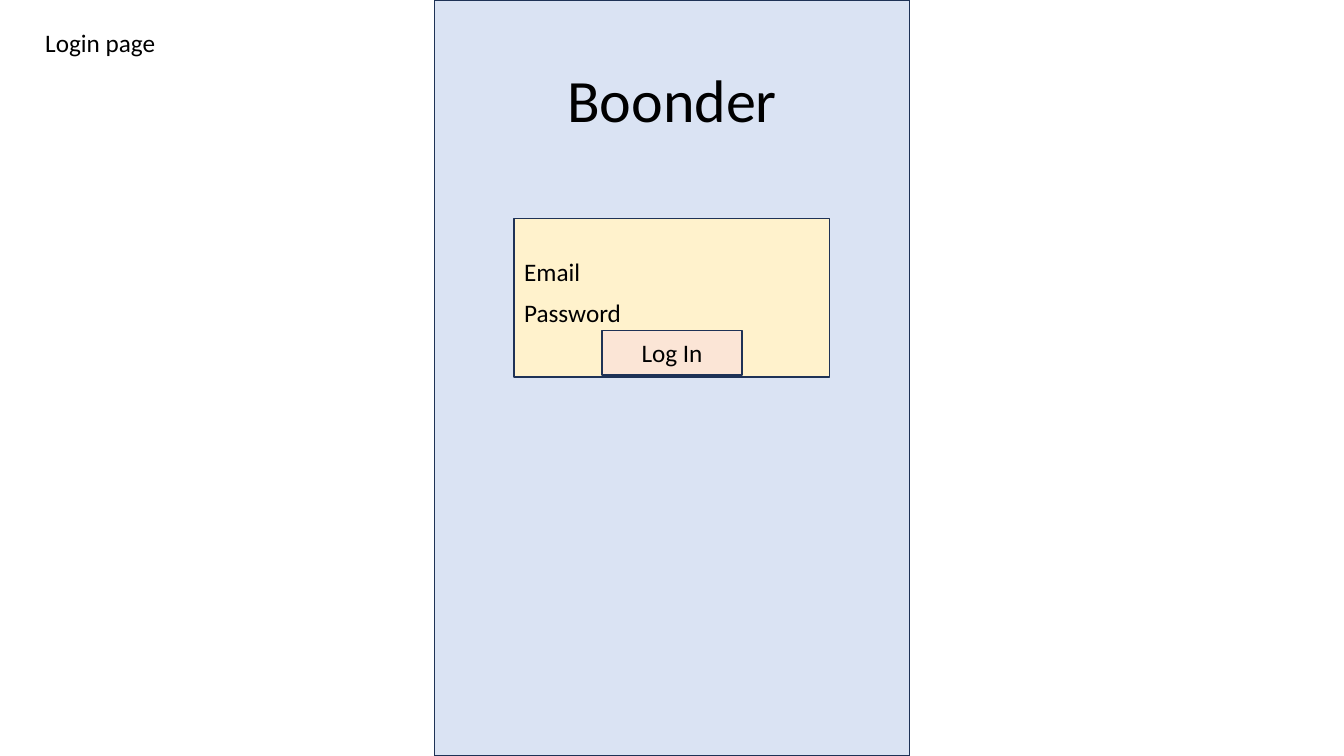
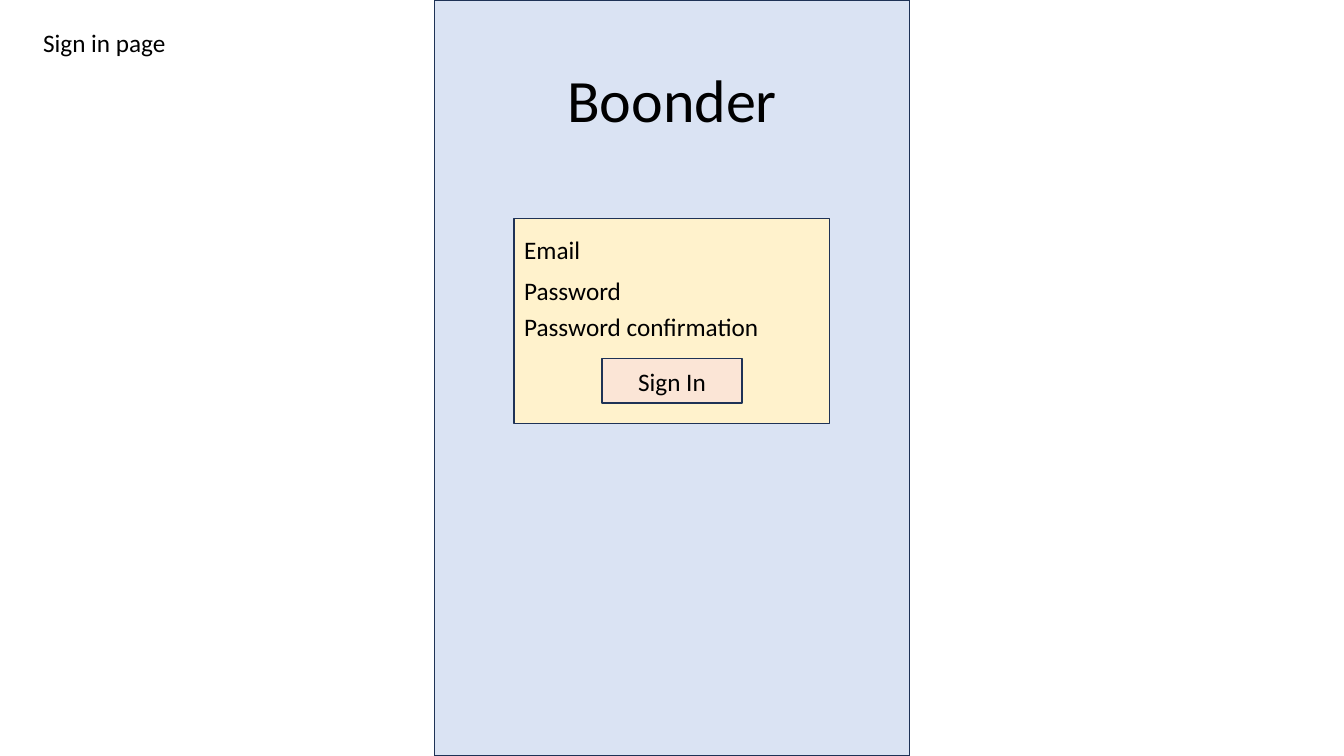
from pptx import Presentation
from pptx.dml.color import RGBColor
from pptx.enum.shapes import MSO_SHAPE
from pptx.enum.text import MSO_ANCHOR, MSO_AUTO_SIZE, PP_ALIGN
from pptx.util import Inches, Pt

BLUE = RGBColor(0xDA, 0xE3, 0xF3)
CREAM = RGBColor(0xFF, 0xF2, 0xCC)
PEACH = RGBColor(0xFB, 0xE5, 0xD6)
NAVY = RGBColor(0x1E, 0x32, 0x56)
BLACK = RGBColor(0, 0, 0)
FONT = "Calibri"
BRAND = "Boonder"

PAGES = [
    {"name": "Login page", "spot": (0.35, 1.31), "form": 1.57,
     "fields": [("Email", 2.49), ("Password", 2.9)],
     "button": ("Log In", 3.28)},
    {"name": "Sign in page", "spot": (0.33, 1.43), "form": 2.03,
     "fields": [("Email", 2.28), ("Password", 2.68),
                ("Password confirmation", 3.04)],
     "button": ("Sign In", 3.56)},
]

WIDE, HIGH = 13.33, 7.5
PANEL, FORM, BUTTON = 4.71, 3.13, 1.39
TOP, ROW = 2.17, 0.4


def mid(width):
    return (WIDE - width) / 2


def place(left, top, width, height):
    return [Inches(n) for n in (left, top, width, height)]


def write(shape, text, size=18, align=PP_ALIGN.LEFT, anchor=MSO_ANCHOR.TOP,
          wrap=True, space=1.0):
    frame = shape.text_frame
    frame.text = text
    frame.word_wrap = wrap
    frame.auto_size = MSO_AUTO_SIZE.NONE
    frame.vertical_anchor = anchor
    para = frame.paragraphs[0]
    para.alignment = align
    para.line_spacing = space
    font = para.runs[0].font
    font.name, font.size, font.color.rgb = FONT, Pt(size), BLACK


def label(slide, text, box, **style):
    write(slide.shapes.add_textbox(*place(*box)), text, **style)


def block(slide, top, width, height, fill):
    shape = slide.shapes.add_shape(
        MSO_SHAPE.RECTANGLE, *place(mid(width), top, width, height))
    shape.shadow.inherit = False
    shape.fill.solid()
    shape.fill.fore_color.rgb = fill
    shape.line.color.rgb = NAVY
    shape.line.width = Pt(1)
    return shape


def head(slide):
    title = slide.shapes.title
    title.left, title.top, title.width, title.height = place(
        mid(PANEL), 0.62, PANEL, 0.94)
    write(title, BRAND, size=42.9, align=PP_ALIGN.CENTER,
          anchor=MSO_ANCHOR.MIDDLE, space=0.9)
    title.text_frame.margin_bottom = Inches(0.18)
    slide.shapes.element.append(title.element)


def build(deck, page):
    slide = deck.slides.add_slide(deck.slide_layouts[5])
    block(slide, 0, PANEL, HIGH, BLUE)
    head(slide)
    block(slide, TOP, FORM, page["form"], CREAM)
    for text, top in page["fields"]:
        label(slide, text, (mid(FORM), top, FORM, ROW))
    text, top = page["button"]
    write(block(slide, top, BUTTON, 0.44, PEACH), text,
          align=PP_ALIGN.CENTER, anchor=MSO_ANCHOR.MIDDLE)
    left, width = page["spot"]
    label(slide, page["name"], (left, 0.22, width, ROW), wrap=False)


def main():
    deck = Presentation()
    deck.slide_width, deck.slide_height = Inches(WIDE), Inches(HIGH)
    for page in PAGES:
        build(deck, page)
    deck.save("out.pptx")


if __name__ == "__main__":
    main()
